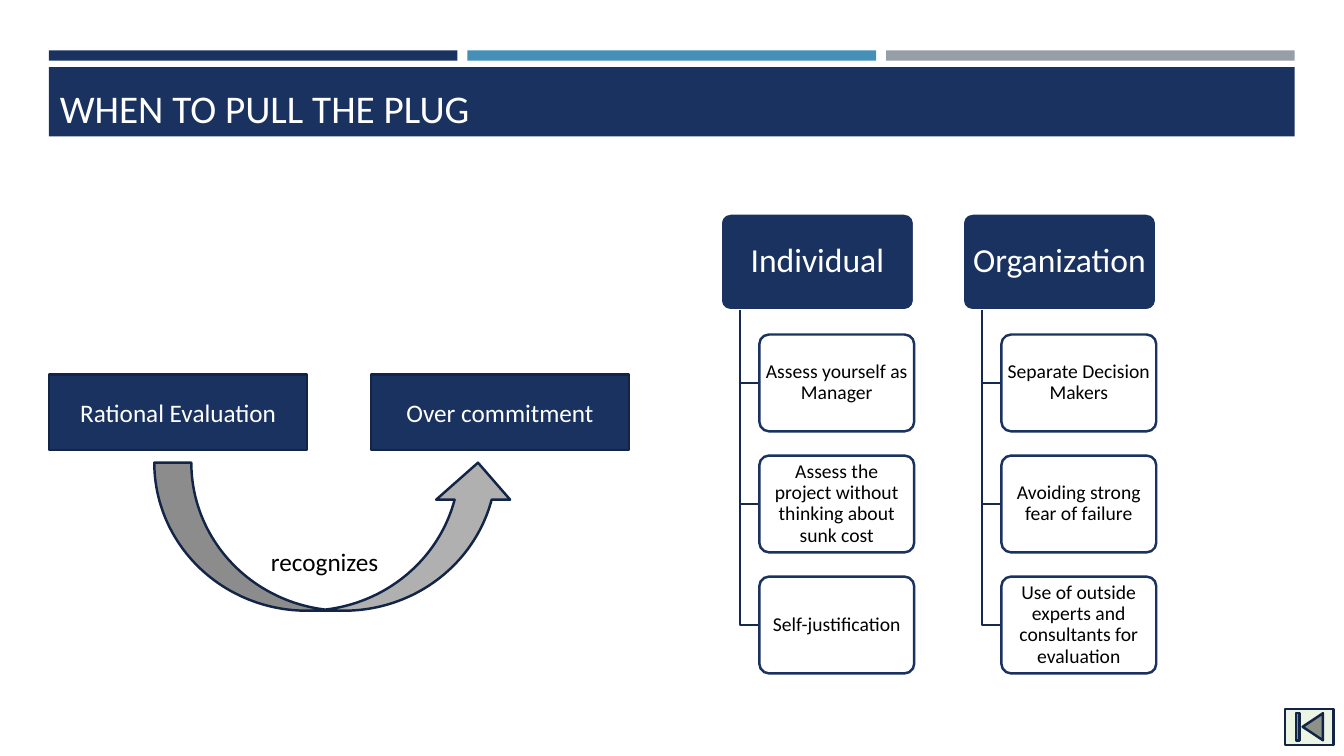
import pptx
import pptx.util
import pptx.dml.color
import pptx.enum.shapes
import pptx.enum.text

Cm = pptx.util.Cm
Pt = pptx.util.Pt
SHAPE = pptx.enum.shapes.MSO_SHAPE
ANCHOR = pptx.enum.text.MSO_ANCHOR
ALIGN = pptx.enum.text.PP_ALIGN

FONT = "Calibri"
NAVY, BLUE, GRAY = "1A3260", "4590B8", "969FA7"
EDGE, BRANCH = "132547", "15284D"
WHITE, BLACK = "FFFFFF", "000000"


def rgb(hex_color):
    return pptx.dml.color.RGBColor.from_string(hex_color)


def add_box(s, kind, x, y, w, h, fill, line=None):
    """Add a preset shape; lengths are in centimetres."""
    sp = s.shapes.add_shape(kind, Cm(x), Cm(y), Cm(w), Cm(h))
    sp.shadow.inherit = False
    sp.fill.solid()
    sp.fill.fore_color.rgb = rgb(fill)
    if line:
        sp.line.color.rgb = rgb(line)
        sp.line.width = Pt(1.75)
    else:
        sp.line.fill.background()
    return sp


def set_text(sp, text, size, color, align=ALIGN.CENTER, anchor=ANCHOR.MIDDLE):
    tf = sp.text_frame
    tf.word_wrap = True
    tf.vertical_anchor = anchor
    p = tf.paragraphs[0]
    p.text = text
    p.alignment = align
    p.font.name = FONT
    p.font.size = Pt(size)
    p.font.color.rgb = rgb(color)
    return tf


def add_node(s, x, y, w, h, fill, line, text, size, color, inset):
    """Add a rounded box of the hierarchy."""
    sp = add_box(s, SHAPE.ROUNDED_RECTANGLE, x, y, w, h, fill, line)
    sp.adjustments[0] = 0.1
    tf = set_text(sp, text, size, color)
    tf.margin_left = tf.margin_right = Cm(inset)
    tf.margin_top = tf.margin_bottom = Cm(0.05)
    tf.paragraphs[0].line_spacing = 0.9


def add_header(s, x, y, w, title):
    # Three coloured bars
    gap = 0.25
    bar_w = (w - 2 * gap) / 3
    for i, color in enumerate((NAVY, BLUE, GRAY)):
        add_box(s, SHAPE.RECTANGLE, x + i * (bar_w + gap), y, bar_w, 0.26, color)

    # Title band
    band = add_box(s, SHAPE.RECTANGLE, x, y + 0.42, w, 1.75, NAVY)
    tf = set_text(band, title, 28, WHITE, ALIGN.LEFT, ANCHOR.BOTTOM)
    tf.margin_left = Cm(0.28)


def add_recognition(s, x, y, w):
    # Two ideas side by side
    box_w, box_h = 6.5, 1.9
    for left, text in ((x, "Rational Evaluation"), (x + w - box_w, "Over commitment")):
        sp = add_box(s, SHAPE.RECTANGLE, left, y, box_w, box_h, NAVY, EDGE)
        set_text(sp, text, 18, WHITE)

    # Curved arrow from the first idea to the second
    add_box(s, SHAPE.CURVED_UP_ARROW, x + 2.65, y + 2.22, 9.09, 3.73, "B0B0B0", EDGE)

    # Arrow label
    label = s.shapes.add_textbox(Cm(x + 5.34), Cm(y + 4.2), Cm(3.33), Cm(1.04))
    set_text(label, "recognizes", 18, BLACK, ALIGN.LEFT, ANCHOR.TOP)


def add_branch(s, x, top, bottom, length):
    """Add an elbow line from a heading down to one of its items."""
    builder = s.shapes.build_freeform(Cm(x), Cm(top))
    builder.add_line_segments(
        [(Cm(x), Cm(bottom)), (Cm(x + length), Cm(bottom))], close=False)
    sp = builder.convert_to_shape()
    sp.shadow.inherit = False
    sp.fill.background()
    sp.line.color.rgb = rgb(BRANCH)
    sp.line.width = Pt(1.75)


def add_hierarchy(s, x, y, w, h, heading, items):
    """Add a heading w by h with its items stacked below."""
    indent = w / 5
    pitch = h * 1.25
    add_node(s, x, y, w, h, NAVY, WHITE, heading, 24, WHITE, 0.13)
    for i, item in enumerate(items, start=1):
        item_y = y + i * pitch
        add_branch(s, x + indent / 2, y + h, item_y + h / 2, indent / 2)
        add_node(s, x + indent, item_y, w - indent, h, WHITE, NAVY,
                 item, 14, BLACK, 0.08)


def build_slide(prs):
    s = prs.slides.add_slide(prs.slide_layouts[6])
    add_header(s, 1.23, 1.27, 31.4, "WHEN TO PULL THE PLUG")
    add_recognition(s, 1.24, 9.44, 14.61)

    # Advice for each level
    columns = (
        ("Individual", ("Assess yourself as Manager",
                        "Assess the project without thinking about sunk cost",
                        "Self-justification")),
        ("Organization", ("Separate Decision Makers",
                          "Avoiding strong fear of failure",
                          "Use of outside experts and consultants for evaluation")),
    )
    for i, (heading, items) in enumerate(columns):
        add_hierarchy(s, 18.16 + i * 6.1, 5.38, 4.88, 2.44, heading, items)

    # Return button
    add_box(s, SHAPE.ACTION_BUTTON_BEGINNING, 32.39, 17.86, 1.22, 0.91, "ECF4E4", EDGE)


def main():
    prs = pptx.Presentation()
    prs.slide_width = Cm(33.87)
    prs.slide_height = Cm(19.05)
    build_slide(prs)
    prs.save("out.pptx")


if __name__ == "__main__":
    main()
